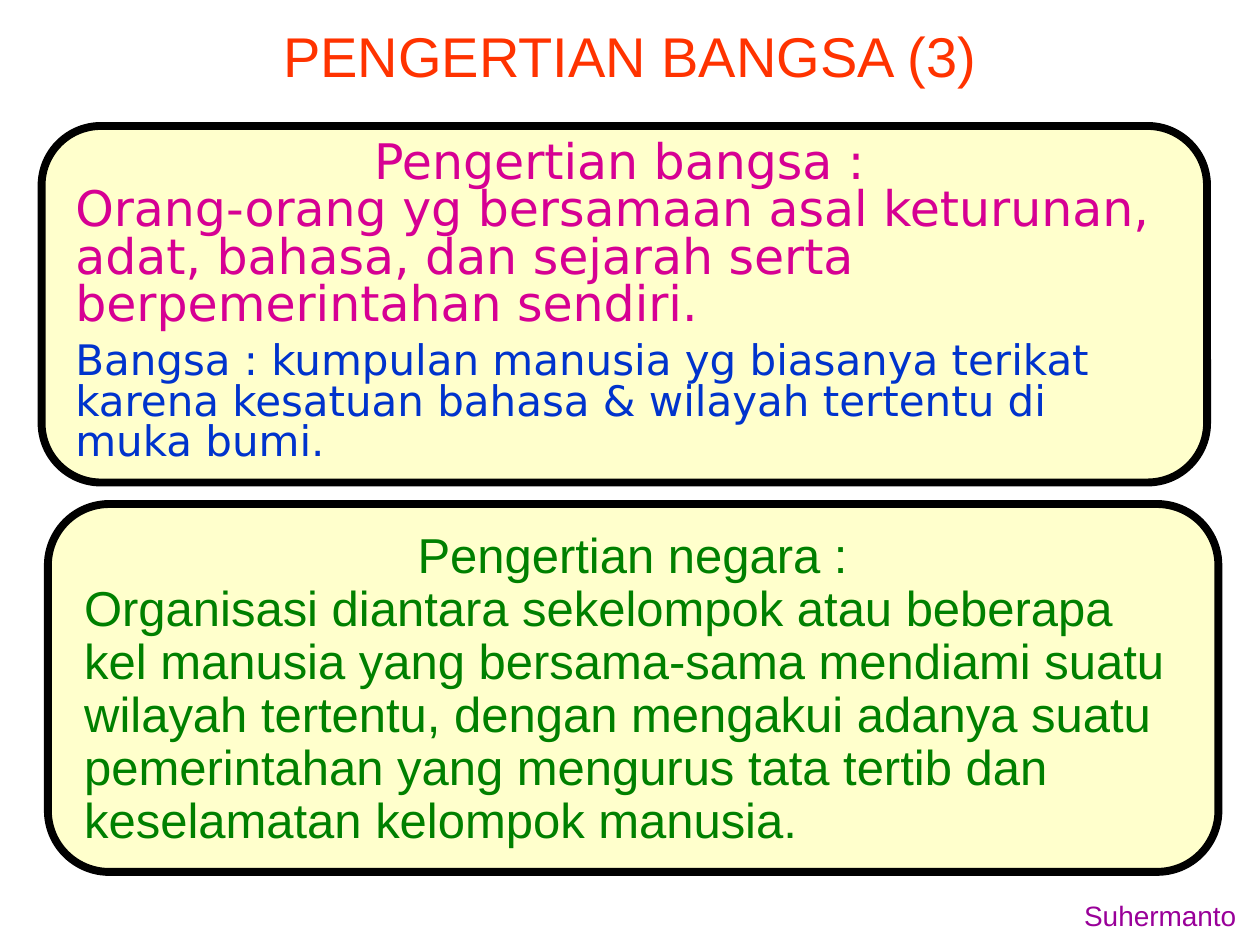
from pptx import Presentation
from pptx.dml.color import RGBColor
from pptx.enum.shapes import MSO_SHAPE
from pptx.enum.text import MSO_ANCHOR, PP_ALIGN
from pptx.util import Inches, Pt

LEFT, CENTER, RIGHT = PP_ALIGN.LEFT, PP_ALIGN.CENTER, PP_ALIGN.RIGHT
TOP = MSO_ANCHOR.TOP
ROUNDED = MSO_SHAPE.ROUNDED_RECTANGLE

CREAM = RGBColor(0xFF, 0xFF, 0xCC)
BLACK = RGBColor(0x00, 0x00, 0x00)
ORANGE = RGBColor(0xFF, 0x33, 0x00)
MAGENTA = RGBColor(0xD6, 0x00, 0x93)
BLUE = RGBColor(0x00, 0x33, 0xCC)
GREEN = RGBColor(0x00, 0x80, 0x00)
PURPLE = RGBColor(0x99, 0x00, 0x99)

# Content: paragraphs are (text, alignment, size, colour, space before)
TITLE = [("PENGERTIAN BANGSA (3)", CENTER, 32, ORANGE, 0)]
AUTHOR = [("Suhermanto", RIGHT, 16, PURPLE, 0)]
PANELS = [
    {
        "panel": (0.33, 1, 9.25, 2.83),
        "text": (0.5, 1.08, 8.83, 2.66),
        "font": "DejaVu Sans",
        "spacing": 0.8,
        "paragraphs": [
            ("Pengertian bangsa :", CENTER, 28, MAGENTA, 0),
            ("Orang-orang yg bersamaan asal keturunan, adat, bahasa, dan "
             "sejarah serta berpemerintahan sendiri.", LEFT, 28, MAGENTA, 0),
            ("Bangsa : kumpulan manusia yg biasanya terikat karena kesatuan "
             "bahasa & wilayah tertentu di muka bumi.", LEFT, 24, BLUE, 7.5),
        ],
    },
    {
        "panel": (0.38, 4, 9.29, 2.92),
        "text": (0.57, 4.17, 8.9, 2.62),
        "font": "Arial",
        "spacing": 0.9,
        "paragraphs": [
            ("Pengertian negara :", CENTER, 28, GREEN, 0),
            ("Organisasi diantara sekelompok atau beberapa kel manusia yang "
             "bersama-sama mendiami suatu wilayah tertentu, dengan mengakui "
             "adanya suatu pemerintahan yang mengurus tata tertib dan "
             "keselamatan kelompok manusia.", LEFT, 28, GREEN, 0),
        ],
    },
]


def inches(box):
    return [Inches(value) for value in box]


def write(shape, paragraphs, font="Arial", spacing=1.0):
    frame = shape.text_frame
    frame.word_wrap = True
    frame.vertical_anchor = TOP
    for index, (text, alignment, size, color, before) in enumerate(paragraphs):
        paragraph = frame.add_paragraph() if index else frame.paragraphs[0]
        paragraph.text = text
        paragraph.alignment = alignment
        paragraph.line_spacing = spacing
        paragraph.space_before = Pt(before)
        paragraph.font.name = font
        paragraph.font.size = Pt(size)
        paragraph.font.color.rgb = color


presentation = Presentation()
presentation.slide_width, presentation.slide_height = Inches(10), Inches(7.5)
slide = presentation.slides.add_slide(presentation.slide_layouts[5])

# Title
title = slide.shapes.title
title.left, title.top, title.width, title.height = inches((0.25, 0.2, 9.5, 0.56))
write(title, TITLE, spacing=0.85)

# Definition panels, each grouped with its text
for item in PANELS:
    group = slide.shapes.add_group_shape()
    panel = group.shapes.add_shape(ROUNDED, *inches(item["panel"]))
    panel.shadow.inherit = False
    panel.fill.solid()
    panel.fill.fore_color.rgb = CREAM
    panel.line.color.rgb = BLACK
    panel.line.width = Pt(4.5)
    definition = group.shapes.add_textbox(*inches(item["text"]))
    write(definition, item["paragraphs"], item["font"], item["spacing"])

# Author
author = slide.shapes.add_textbox(*inches((7.83, 7.08, 2.08, 0.42)))
write(author, AUTHOR)

presentation.save("out.pptx")
